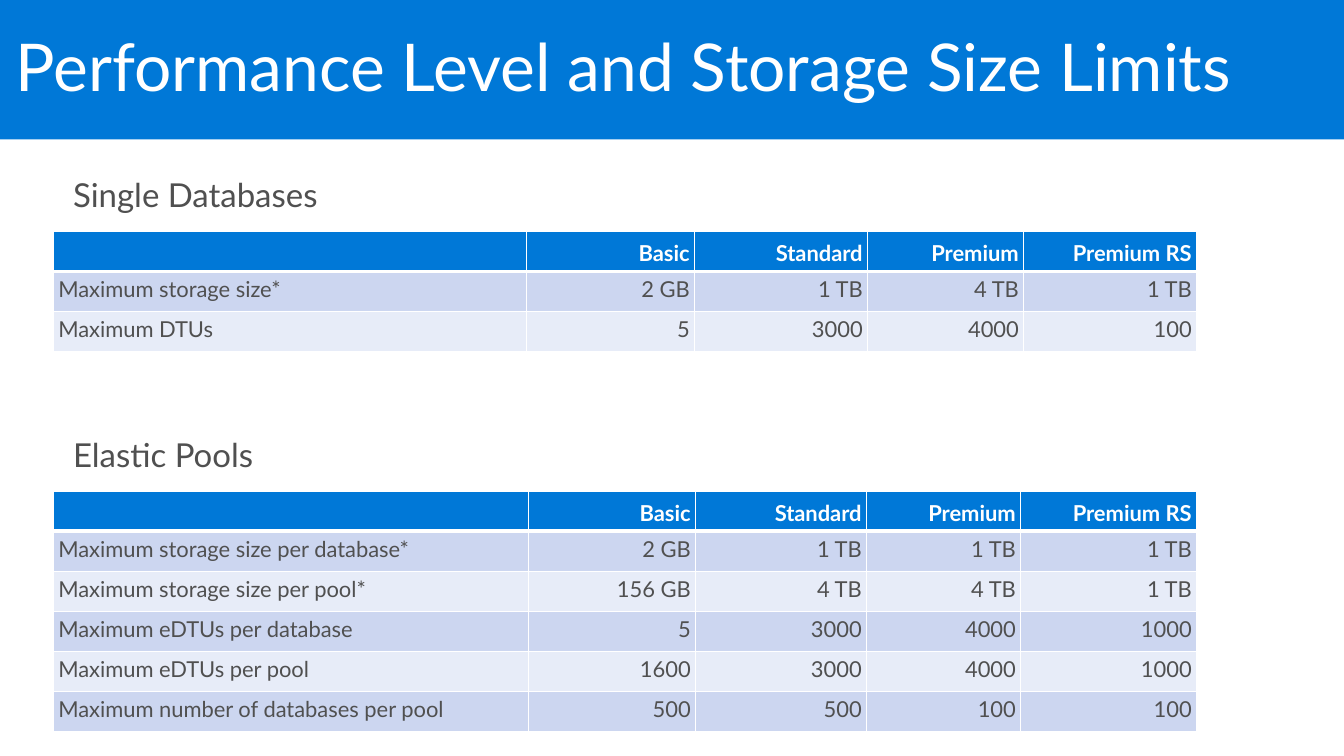
from dataclasses import dataclass

import pptx
import pptx.dml.color
import pptx.enum.text
import pptx.oxml
import pptx.oxml.ns
import pptx.util
from pptx.util import Inches

PP_ALIGN = pptx.enum.text.PP_ALIGN
ANCHOR = pptx.enum.text.MSO_ANCHOR
AUTO_SIZE = pptx.enum.text.MSO_AUTO_SIZE


@dataclass(frozen=True)
class Theme:
    font: str = "Lato"
    blue: str = "0078D7"
    white: str = "FFFFFF"
    grey: str = "505050"
    bands: tuple[str, str] = ("CCD6F0", "E7ECF8")
    title_size: int = 48
    heading_size: int = 24
    cell_size: int = 16
    thin: int = 1
    thick: int = 3


@dataclass(frozen=True)
class LimitsSection:
    heading: str
    top: float
    columns: tuple[float, ...]
    rows: tuple[tuple[str, ...], ...]


THEME = Theme()
LEFT = 0.54
ROW_HEIGHT = 0.405
HEADING_HEIGHT = 0.69
TIERS = ("", "Basic", "Standard", "Premium", "Premium RS")

SECTIONS = (
    LimitsSection("Single Databases", 1.65, (4.79, 1.7, 1.75, 1.58, 1.75), (
        ("Maximum storage size*", "2 GB", "1 TB", "4 TB", "1 TB"),
        ("Maximum DTUs", "5", "3000", "4000", "100"),
    )),
    LimitsSection("Elastic Pools", 4.28, (4.81, 1.69, 1.73, 1.56, 1.78), (
        ("Maximum storage size per database*", "2 GB", "1 TB", "1 TB", "1 TB"),
        ("Maximum storage size per pool*", "156 GB", "4 TB", "4 TB", "1 TB"),
        ("Maximum eDTUs per database", "5", "3000", "4000", "1000"),
        ("Maximum eDTUs per pool", "1600", "3000", "4000", "1000"),
        ("Maximum number of databases per pool", "500", "500", "100", "100"),
    )),
)


def rgb(color: str) -> pptx.dml.color.RGBColor:
    return pptx.dml.color.RGBColor.from_string(color)


def set_margins(target, x: float, y: float) -> None:
    """Set the insets of a text frame or a table cell."""
    target.margin_left = target.margin_right = Inches(x)
    target.margin_top = target.margin_bottom = Inches(y)


def format_runs(p, size: int, color: str, bold: bool = False) -> None:
    for r in p.runs:
        r.font.name = THEME.font
        r.font.size = pptx.util.Pt(size)
        r.font.bold = bold
        r.font.color.rgb = rgb(color)


def set_borders(cell, top: int, bottom: int) -> None:
    """Draw white cell borders; they must precede the fill."""
    tc_pr = cell._tc.get_or_add_tcPr()
    widths = {"L": THEME.thin, "R": THEME.thin, "T": top, "B": bottom}
    for side, width in widths.items():
        tc_pr.append(pptx.oxml.parse_xml(
            f'<a:ln{side} {pptx.oxml.ns.nsdecls("a")} w="{pptx.util.Pt(width)}">'
            f'<a:solidFill><a:srgbClr val="{THEME.white}"/></a:solidFill>'
            f'</a:ln{side}>'))


def add_title(s, text: str) -> None:
    title = s.shapes.title
    title.left, title.top = Inches(0), Inches(0)
    title.width, title.height = Inches(13.6), Inches(1.41)
    title.fill.solid()
    title.fill.fore_color.rgb = rgb(THEME.blue)
    tf = title.text_frame
    tf.text = text
    tf.auto_size = AUTO_SIZE.NONE
    tf.vertical_anchor = ANCHOR.MIDDLE
    set_margins(tf, 0.16, 0.1)
    p = tf.paragraphs[0]
    p.alignment = PP_ALIGN.LEFT
    p.line_spacing = 0.9
    format_runs(p, THEME.title_size, THEME.white)


def add_heading(s, section: LimitsSection) -> None:
    box = s.shapes.add_textbox(Inches(LEFT), Inches(section.top),
                               Inches(4.97), Inches(HEADING_HEIGHT))
    tf = box.text_frame
    tf.text = section.heading
    tf.word_wrap = True
    tf.auto_size = AUTO_SIZE.SHAPE_TO_FIT_TEXT
    set_margins(tf, 0.2, 0.16)
    p = tf.paragraphs[0]
    p.line_spacing = 0.9
    p.space_after = pptx.util.Pt(6)
    format_runs(p, THEME.heading_size, THEME.grey)


def format_cell(cell, text: str, row: int, column: int) -> None:
    header = row == 0
    cell.text = text
    set_margins(cell, 0.05, 0.05)
    cell.vertical_anchor = ANCHOR.BOTTOM if header else ANCHOR.TOP
    set_borders(cell, top=THEME.thick if row == 1 else THEME.thin,
                bottom=THEME.thick if header else THEME.thin)
    cell.fill.solid()
    cell.fill.fore_color.rgb = rgb(THEME.blue if header else THEME.bands[(row - 1) % 2])
    p = cell.text_frame.paragraphs[0]
    p.alignment = PP_ALIGN.RIGHT if column else PP_ALIGN.LEFT
    format_runs(p, THEME.cell_size, THEME.white if header else THEME.grey, header)


def add_limits_table(s, section: LimitsSection) -> None:
    rows = (TIERS, *section.rows)
    table = s.shapes.add_table(
        len(rows), len(TIERS), Inches(LEFT), Inches(section.top + HEADING_HEIGHT),
        Inches(sum(section.columns)), Inches(ROW_HEIGHT * len(rows))).table
    for column, width in zip(table.columns, section.columns):
        column.width = Inches(width)
    for i, values in enumerate(rows):
        table.rows[i].height = Inches(ROW_HEIGHT)
        for j, text in enumerate(values):
            format_cell(table.cell(i, j), text, i, j)


def main() -> None:
    prs = pptx.Presentation()
    prs.slide_width, prs.slide_height = Inches(13.6), Inches(7.65)
    s = prs.slides.add_slide(prs.slide_layouts[5])

    # Title band
    add_title(s, "Performance Level and Storage Size Limits")

    # Headings and their tables
    for section in SECTIONS:
        add_limits_table(s, section)
        add_heading(s, section)

    prs.save("out.pptx")


if __name__ == "__main__":
    main()
